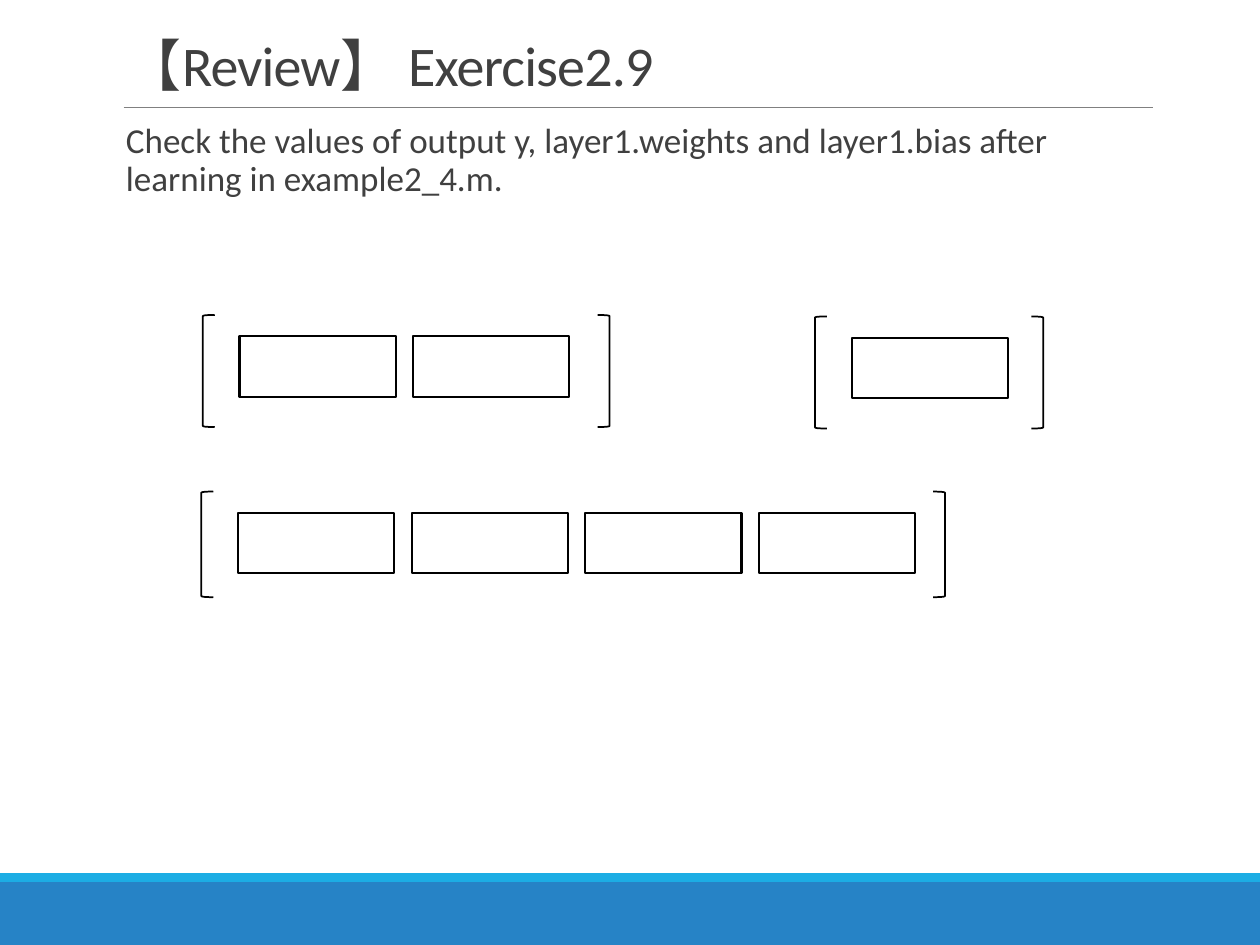
from lxml.etree import SubElement
from pptx import Presentation
from pptx.dml.color import RGBColor
from pptx.enum.shapes import MSO_CONNECTOR, MSO_SHAPE
from pptx.enum.text import MSO_ANCHOR
from pptx.oxml.ns import qn
from pptx.util import Cm, Pt

BLUE = RGBColor(0x26, 0x83, 0xC6)
CYAN = RGBColor(0x1C, 0xAD, 0xE4)
GRAY = RGBColor(0x80, 0x80, 0x80)
DARK = RGBColor(0x40, 0x40, 0x40)
BLACK = RGBColor(0, 0, 0)
WHITE = RGBColor(0xFF, 0xFF, 0xFF)

BOX_W, BOX_H, PITCH = 3.15, 1.22, 3.5
PAD_X, PAD_Y = 0.74, 0.43
HOOK = 0.24


def add_text(slide, text, x, y, w, h, size=20, space=0.9, inset=0.25,
             anchor=MSO_ANCHOR.TOP, track=0):
    frame = slide.shapes.add_textbox(Cm(x), Cm(y), Cm(w), Cm(h)).text_frame
    frame.word_wrap = True
    frame.vertical_anchor = anchor
    frame.margin_left, frame.margin_right = Cm(0.25), Cm(inset)
    para = frame.paragraphs[0]
    para.line_spacing = space
    run = para.add_run()
    run.text = text
    run.font.name = "Calibri"
    run.font.size = Pt(size)
    run.font.color.rgb = DARK
    if track:
        run.font._element.set("spc", str(round(track * 100)))


def add_shape(slide, kind, x, y, w, h, fill=None, line=None, width=1):
    shape = slide.shapes.add_shape(kind, Cm(x), Cm(y), Cm(w), Cm(h))
    shape.shadow.inherit = False
    if fill is None:
        shape.fill.background()
    else:
        shape.fill.solid()
        shape.fill.fore_color.rgb = fill
    if line is None:
        shape.line.fill.background()
    else:
        shape.line.color.rgb = line
        shape.line.width = Pt(width)


def add_rule(slide, x, y, end):
    rule = slide.shapes.add_connector(
        MSO_CONNECTOR.STRAIGHT, Cm(x), Cm(y), Cm(end), Cm(y))
    rule.line.color.rgb = GRAY
    rule.line.width = Pt(0.5)
    SubElement(rule._element.spPr, qn("a:effectLst"))


def add_matrix(slide, x, y, w, h, count):
    """Draw a bracketed row of empty answer boxes."""
    add_shape(slide, MSO_SHAPE.LEFT_BRACKET, x, y, HOOK, h, line=BLACK)
    add_shape(slide, MSO_SHAPE.RIGHT_BRACKET, x + w - HOOK, y, HOOK, h,
              line=BLACK)
    for i in range(count):
        add_shape(slide, MSO_SHAPE.RECTANGLE, x + PAD_X + i * PITCH,
                  y + PAD_Y, BOX_W, BOX_H, WHITE, BLACK, 1.25)


def main():
    deck = Presentation()
    deck.slide_width, deck.slide_height = Cm(25.4), Cm(19.05)
    slide = deck.slides.add_slide(deck.slide_layouts[6])

    # Footer bands and title rule
    add_shape(slide, MSO_SHAPE.RECTANGLE, 0, 17.78, 25.4, 1.27, BLUE)
    add_shape(slide, MSO_SHAPE.RECTANGLE, 0, 17.6, 25.4, 0.18, CYAN)
    add_rule(slide, 2.49, 2.16, 23.24)

    # Title and task
    add_text(slide, "【Review】 Exercise2.9", 2.29, 0.46, 20.96, 1.65,
             size=32, space=0.85, anchor=MSO_ANCHOR.BOTTOM, track=-0.5)
    add_text(slide, "Check the values of output y, layer1.weights and "
             "layer1.bias after learning in example2_4.m.",
             2.29, 2.36, 20.96, 2.46, inset=0)

    # Weights, bias and output
    add_matrix(slide, 4.09, 6.35, 8.2, 2.26, 2)
    add_matrix(slide, 16.43, 6.38, 4.6, 2.26, 1)
    add_matrix(slide, 4.06, 9.91, 14.99, 2.13, 4)

    deck.save("out.pptx")


if __name__ == "__main__":
    main()
